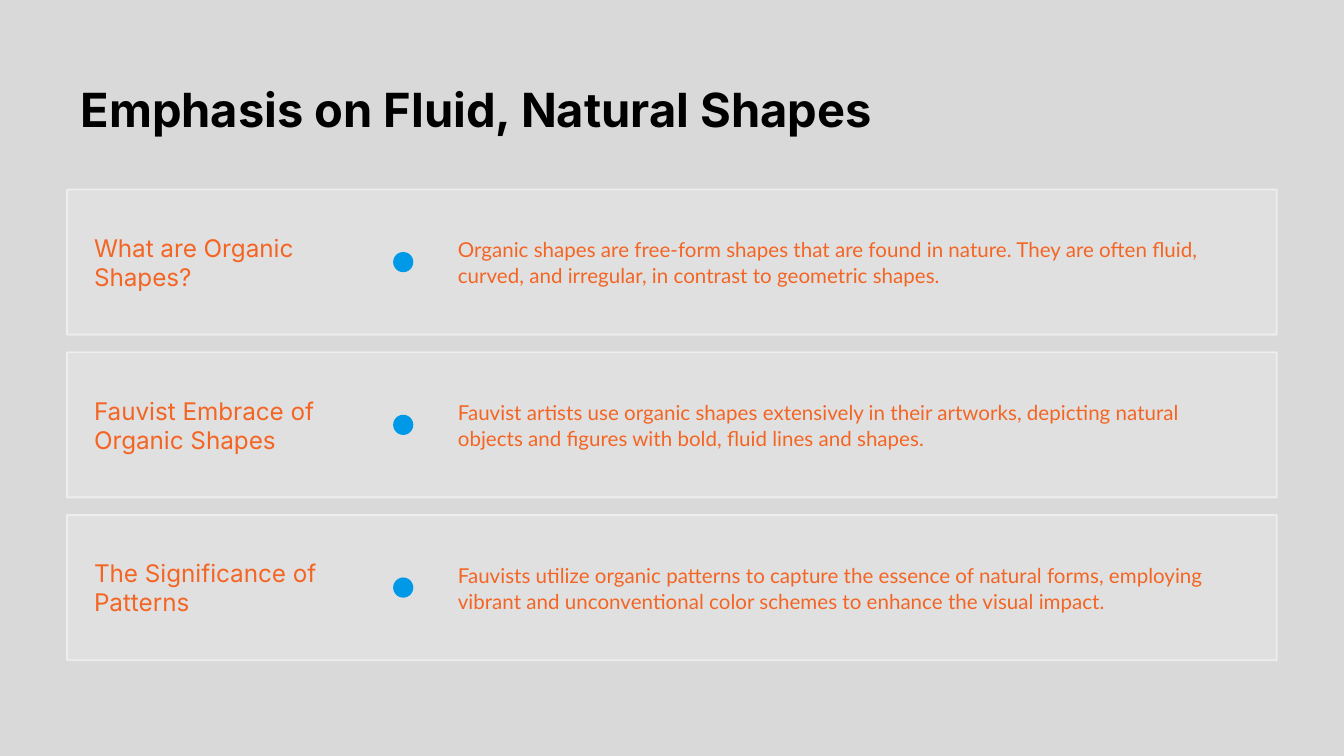
from lxml import etree
from pptx import Presentation
from pptx.dml.color import RGBColor
from pptx.enum import shapes, text
from pptx.oxml import ns
from pptx.util import Pt

COLORS = {"background": "D9D9D9", "title": "000000", "panel": "FFFFFF",
          "text": "F46524", "dot": "0099E8"}
ROWS = [
    ("What are Organic Shapes?",
     "Organic shapes are free-form shapes that are found in nature. They are often fluid, "
     "curved, and irregular, in contrast to geometric shapes."),
    ("Fauvist Embrace of Organic Shapes",
     "Fauvist artists use organic shapes extensively in their artworks, depicting natural "
     "objects and figures with bold, fluid lines and shapes."),
    ("The Significance of Patterns",
     "Fauvists utilize organic patterns to capture the essence of natural forms, employing "
     "vibrant and unconventional color schemes to enhance the visual impact."),
]
LEFT, WIDTH = 36, 648
TOP, HEIGHT, PITCH = 101.5, 77.8, 87.2
DOT = 10.8


def write(sp, content, font, size, color, left_inset=7.2, right_inset=7.2, bold=False):
    """Fill a text frame with one middle-anchored, left-aligned paragraph."""
    tf = sp.text_frame
    tf.word_wrap = True
    tf.auto_size = text.MSO_AUTO_SIZE.NONE
    tf.vertical_anchor = text.MSO_ANCHOR.MIDDLE
    tf.margin_left, tf.margin_right = Pt(left_inset), Pt(right_inset)
    tf.margin_top = tf.margin_bottom = Pt(7.2)
    p = tf.paragraphs[0]
    p.alignment = text.PP_ALIGN.LEFT
    r = p.add_run()
    r.text = content
    r.font.name, r.font.size, r.font.bold = font, Pt(size), bold
    r.font.color.rgb = RGBColor.from_string(COLORS[color])
    return p


def set_alpha(fill_parent, percent):
    """Make the solid fill of a shape or line partly transparent."""
    color = fill_parent.find(ns.qn("a:solidFill"))[0]
    etree.SubElement(color, ns.qn("a:alpha"), val=str(percent * 1000))


prs = Presentation()
prs.slide_width, prs.slide_height = Pt(720), Pt(405)
s = prs.slides.add_slide(prs.slide_layouts[5])
s.background.fill.solid()
s.background.fill.fore_color.rgb = RGBColor.from_string(COLORS["background"])

# Title
title = s.shapes.title
title.left, title.top, title.width, title.height = Pt(LEFT), Pt(35.5), Pt(WIDTH), Pt(45)
write(title, "Emphasis on Fluid, Natural Shapes", "Inter", 25.2, "title", bold=True)

for i, (heading, description) in enumerate(ROWS):
    top = TOP + i * PITCH

    # Translucent panel
    panel = s.shapes.add_shape(shapes.MSO_SHAPE.RECTANGLE,
                               Pt(LEFT), Pt(top), Pt(WIDTH), Pt(HEIGHT))
    panel.shadow.inherit = False
    panel.line.width = Pt(1)
    for fill in (panel.fill, panel.line.fill):
        fill.solid()
        fill.fore_color.rgb = RGBColor.from_string(COLORS["panel"])
    set_alpha(panel._element.spPr, 20)
    set_alpha(panel._element.spPr.find(ns.qn("a:ln")), 50)

    # Heading
    sp = s.shapes.add_textbox(Pt(LEFT), Pt(top), Pt(168.5), Pt(HEIGHT))
    p = write(sp, heading, "Inter", 13, "text", left_inset=14.4)
    p.space_after = Pt(10)

    # Description
    sp = s.shapes.add_textbox(Pt(216.5), Pt(top), Pt(467.5), Pt(HEIGHT))
    p = write(sp, description, "Lato", 11, "text", left_inset=28.8, right_inset=14.4)
    p.line_spacing, p.space_after = 1.05, Pt(10)

    # Dot between heading and description
    dot = s.shapes.add_shape(shapes.MSO_SHAPE.OVAL, Pt(210.6),
                             Pt(top + (HEIGHT - DOT) / 2), Pt(DOT), Pt(DOT))
    dot.shadow.inherit = False
    dot.fill.solid()
    dot.fill.fore_color.rgb = RGBColor.from_string(COLORS["dot"])
    dot.line.fill.background()

prs.save("out.pptx")
